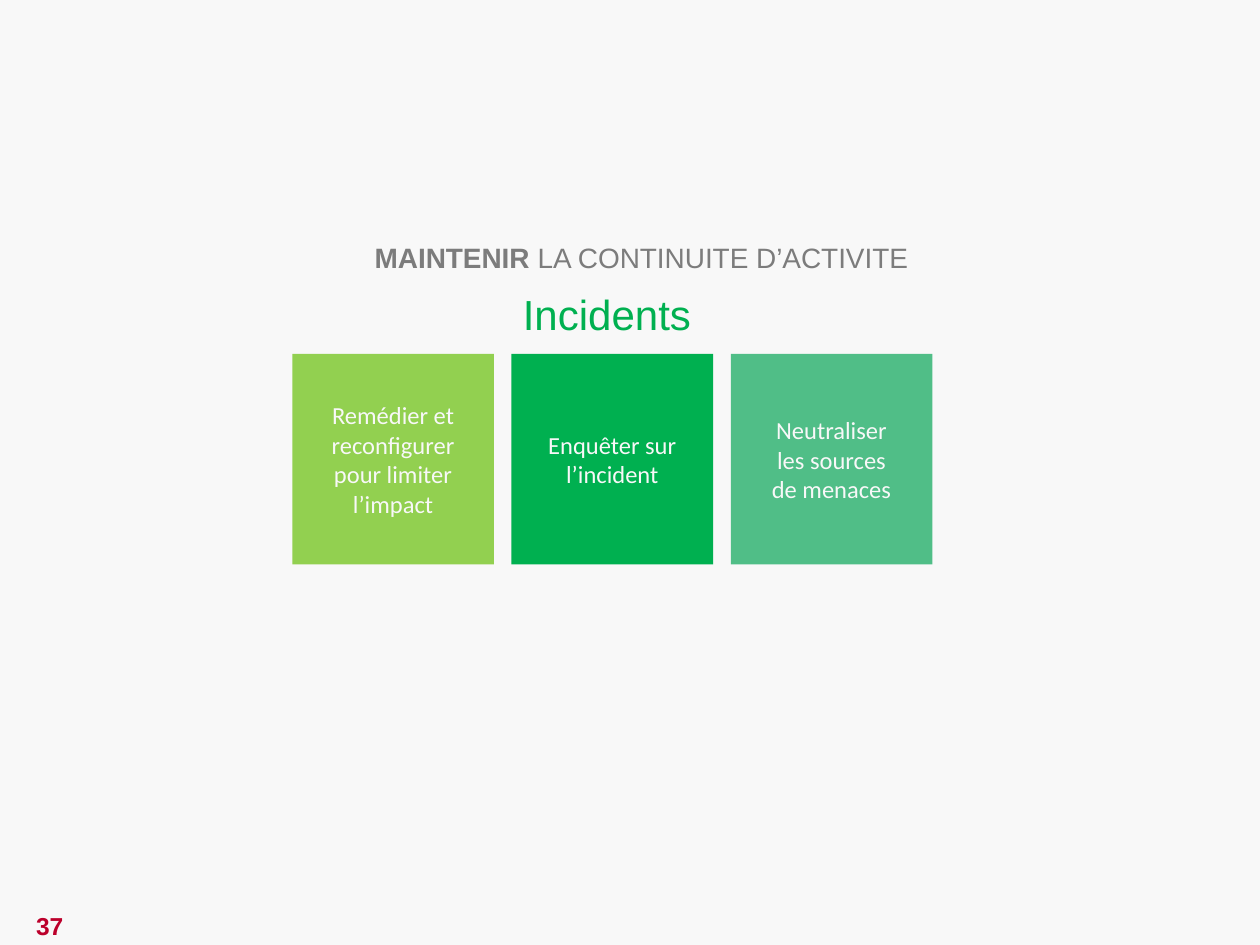
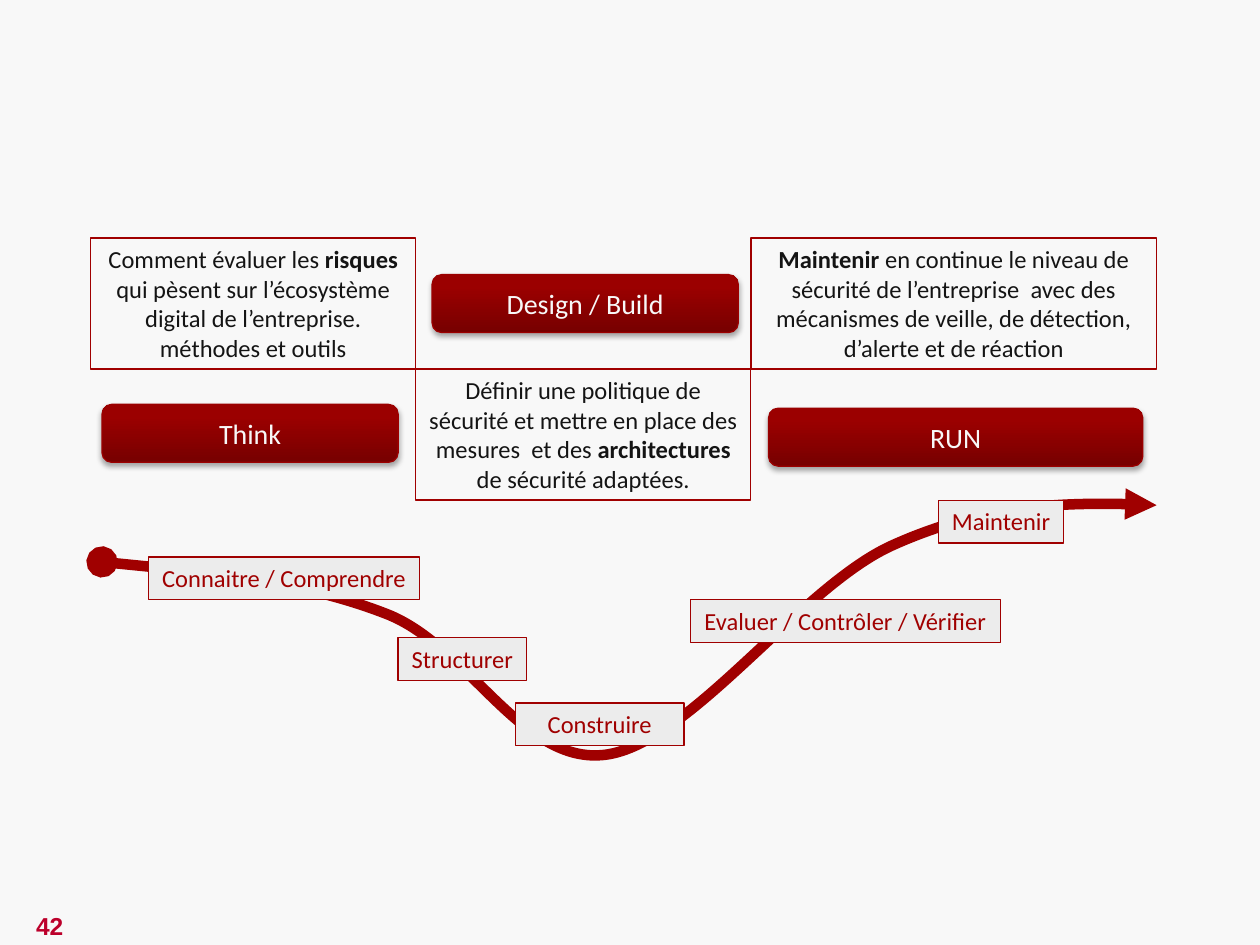
from lxml import etree
from pptx import Presentation
from pptx.dml.color import RGBColor
from pptx.enum.shapes import MSO_SHAPE
from pptx.enum.text import MSO_ANCHOR, MSO_AUTO_SIZE, PP_ALIGN
from pptx.oxml.ns import qn
from pptx.util import Inches, Pt

RECT, ROUND = MSO_SHAPE.RECTANGLE, MSO_SHAPE.ROUNDED_RECTANGLE
TOP, MIDDLE = MSO_ANCHOR.TOP, MSO_ANCHOR.MIDDLE
LEFT, CENTER, RIGHT = PP_ALIGN.LEFT, PP_ALIGN.CENTER, PP_ALIGN.RIGHT
FIXED = MSO_AUTO_SIZE.NONE
TITLE_ONLY, BLANK = 5, 6

COLS, ROWS = 100, 75
PAPER, INK, GREY, PALE = "F8F8F8", "141414", "7C7C7C", "ECECEC"
GREEN, RED, CRIMSON = "00B050", "A00000", "BC002B"
DARK, BRIGHT = "770000", "9B0000"

# Each style: font name, size, colour, alignment, anchor, side and top insets
STYLES = {
    "page": ("Arial", 14, CRIMSON, CENTER, MIDDLE, 0.1, 0.05),
    "title": ("Arial", 16, GREY, RIGHT, TOP, 0.07, 0.04),
    "topic": ("Arial", 24, GREEN, LEFT, TOP, 0.07, 0.04),
    "tile": ("Calibri", 14, PAPER, CENTER, MIDDLE, 0.1, 0.05),
    "note": ("Calibri", 14, INK, CENTER, TOP, 0.1, 0.05),
    "label": ("Calibri", 14, RED, CENTER, TOP, 0.1, 0.05),
    "button": ("Calibri", 16, PAPER, CENTER, MIDDLE, 0.07, 0.03),
}


def color(code):
    return RGBColor.from_string(code)


def add(parent, tag, **attrs):
    return etree.SubElement(parent, qn(tag), attrs)


class Deck:
    def __init__(self):
        self.prs = Presentation()
        self.prs.slide_width, self.prs.slide_height = Inches(10), Inches(7.5)
        fill = self.prs.slide_master.background.fill
        fill.solid()
        fill.fore_color.rgb = color(PAPER)

    def grid(self, *cells):
        """Turn alternating columns and rows into lengths."""
        units = self.prs.slide_width / COLS, self.prs.slide_height / ROWS
        return [round(cell * units[i % 2]) for i, cell in enumerate(cells)]

    def page(self, number, layout):
        self.slide = self.prs.slides.add_slide(self.prs.slide_layouts[layout])
        self.text(f"*{number}*", (0, 71.8, 7.9, 3.4), "page")

    def label(self, shape, text, style, wrap=True):
        """Put text in a shape; newlines split paragraphs, asterisks enclose bold."""
        name, size, ink, align, anchor, side, edge = STYLES[style]
        frame = shape.text_frame
        settings = {
            "word_wrap": wrap, "auto_size": FIXED, "vertical_anchor": anchor,
            "margin_left": Inches(side), "margin_right": Inches(side),
            "margin_top": Inches(edge), "margin_bottom": Inches(edge),
        }
        for key, value in settings.items():
            setattr(frame, key, value)
        for i, line in enumerate(text.split("\n")):
            para = frame.add_paragraph() if i else frame.paragraphs[0]
            para.alignment = align
            for j, part in enumerate(line.split("*")):
                if not part:
                    continue
                run = para.add_run()
                run.text = part
                look = {"name": name, "size": Pt(size), "bold": j % 2 == 1}
                for key, value in look.items():
                    setattr(run.font, key, value)
                run.font.color.rgb = color(ink)

    def title(self, text, box):
        shape = self.slide.shapes.title
        for key, value in zip(("left", "top", "width", "height"), self.grid(*box)):
            setattr(shape, key, value)
        self.label(shape, text, "title")

    def text(self, text, box, style):
        shape = self.slide.shapes.add_textbox(*self.grid(*box))
        self.label(shape, text, style)

    def block(self, text, box, style, fill=None, line=None, kind=RECT, wrap=True):
        shape = self.slide.shapes.add_shape(kind, *self.grid(*box))
        shape.shadow.inherit = False
        if fill:
            shape.fill.solid()
            shape.fill.fore_color.rgb = color(fill)
        else:
            shape.fill.background()
        if line:
            shape.line.color.rgb = color(line)
            shape.line.width = Pt(0.75)
        else:
            shape.line.fill.background()
        self.label(shape, text, style, wrap)
        return shape

    def button(self, text, box):
        """Rounded block with a vertical gradient and a soft shadow."""
        shape = self.block(text, box, "button", line=BRIGHT, kind=ROUND)
        shape.fill.gradient()
        shape.fill.gradient_angle = 90
        stops = zip(shape.fill.gradient_stops, (DARK, BRIGHT), (0, 0.8))
        for stop, code, place in stops:
            stop.color.rgb = color(code)
            stop.position = place
        effects = shape.element.spPr.find(qn("a:effectLst"))
        shade = add(effects, "a:outerShdw", blurRad=str(Pt(3.1)), dist=str(Pt(1.8)),
                    dir="5400000", rotWithShape="0")
        tint = add(shade, "a:srgbClr", val="000000")
        add(tint, "a:alpha", val="35000")

    def curve(self, points):
        """Draw a Bézier arrow: a start, then three points for each arc."""
        start, *rest = [self.grid(*point) for point in points]
        pen = self.slide.shapes.build_freeform(*start)
        pen.add_line_segments(rest, close=False)
        shape = pen.convert_to_shape()
        shape.shadow.inherit = False
        shape.fill.background()
        shape.line.color.rgb = color(RED)
        shape.line.width = Pt(6)
        ends = shape.element.spPr.find(qn("a:ln"))
        add(ends, "a:headEnd", type="oval")
        add(ends, "a:tailEnd", type="triangle")
        track = next(shape.element.iter(qn("a:path")))
        for i, step in enumerate(track.findall(qn("a:lnTo"))):
            if i % 3 == 0:
                arc = add(track, "a:cubicBezTo")
            arc.append(step[0])
            track.remove(step)


def incidents(deck):
    deck.page(37, TITLE_ONLY)
    tiles = [
        ("Remédier et reconfigurer\npour limiter\nl’impact", "92D050"),
        ("Enquêter sur\nl’incident", GREEN),
        ("Neutraliser\nles sources\nde menaces", "50BE87"),
    ]
    for i, (text, fill) in enumerate(tiles):
        deck.block(text, (23.2 + 17.4 * i, 28.1, 16, 16.7), "tile", fill)
    deck.text("Incidents", (40.8, 22.5, 15.4, 4.8), "topic")
    deck.title("*MAINTENIR* LA CONTINUITE D’ACTIVITE", (27.9, 18.7, 44.9, 3.5))


def stages(deck):
    deck.page(42, BLANK)
    deck.curve([
        (8.1, 44.6),
        (16, 45.4), (23.9, 46.1), (30.6, 48.7),
        (37.2, 51.2), (41.4, 60.8), (48.1, 59.9),
        (54.8, 59), (63.5, 46.6), (70.8, 43.3),
        (78.1, 40), (86.6, 39.8), (91.8, 40.1),
    ])

    high, tall = 18.9, 10.4
    low = high + tall
    edges = (7.2, 33, 59.6, 91.8)
    notes = [
        ("Comment évaluer les *risques* qui pèsent sur l’écosystème digital "
         "de l’entreprise. méthodes et outils", high),
        ("Définir une politique de sécurité et mettre en place des mesures  "
         "et des *architectures* de sécurité adaptées.", low),
        ("*Maintenir* en continue le niveau de sécurité de l’entreprise  avec "
         "des mécanismes de veille, de détection, d’alerte et de réaction", high),
    ]
    for (text, top), left, right in zip(notes, edges, edges[1:]):
        deck.block(text, (left, top, right - left, tall), "note", line=RED)

    labels = [
        ("Connaitre / Comprendre", 11.8, 44.2, 21.5),
        ("Structurer", 31.6, 50.6, 10.2),
        ("Construire", 40.9, 55.8, 13.4),
        ("Evaluer / Contrôler / Vérifier", 54.8, 47.6, 24.6),
        ("Maintenir", 74.5, 39.7, 9.9),
    ]
    for text, left, top, width in labels:
        deck.block(text, (left, top, width, 3.4), "label", PALE, RED, wrap=False)

    buttons = [
        ("Think", 8.1, 32.1, 23.5),
        ("Design / Build", 34.3, 21.8, 24.3),
        ("RUN", 61, 32.4, 29.7),
    ]
    for text, left, top, width in buttons:
        deck.button(text, (left, top, width, 4.6))


def main():
    deck = Deck()
    incidents(deck)
    stages(deck)
    deck.prs.save("out.pptx")


if __name__ == "__main__":
    main()
